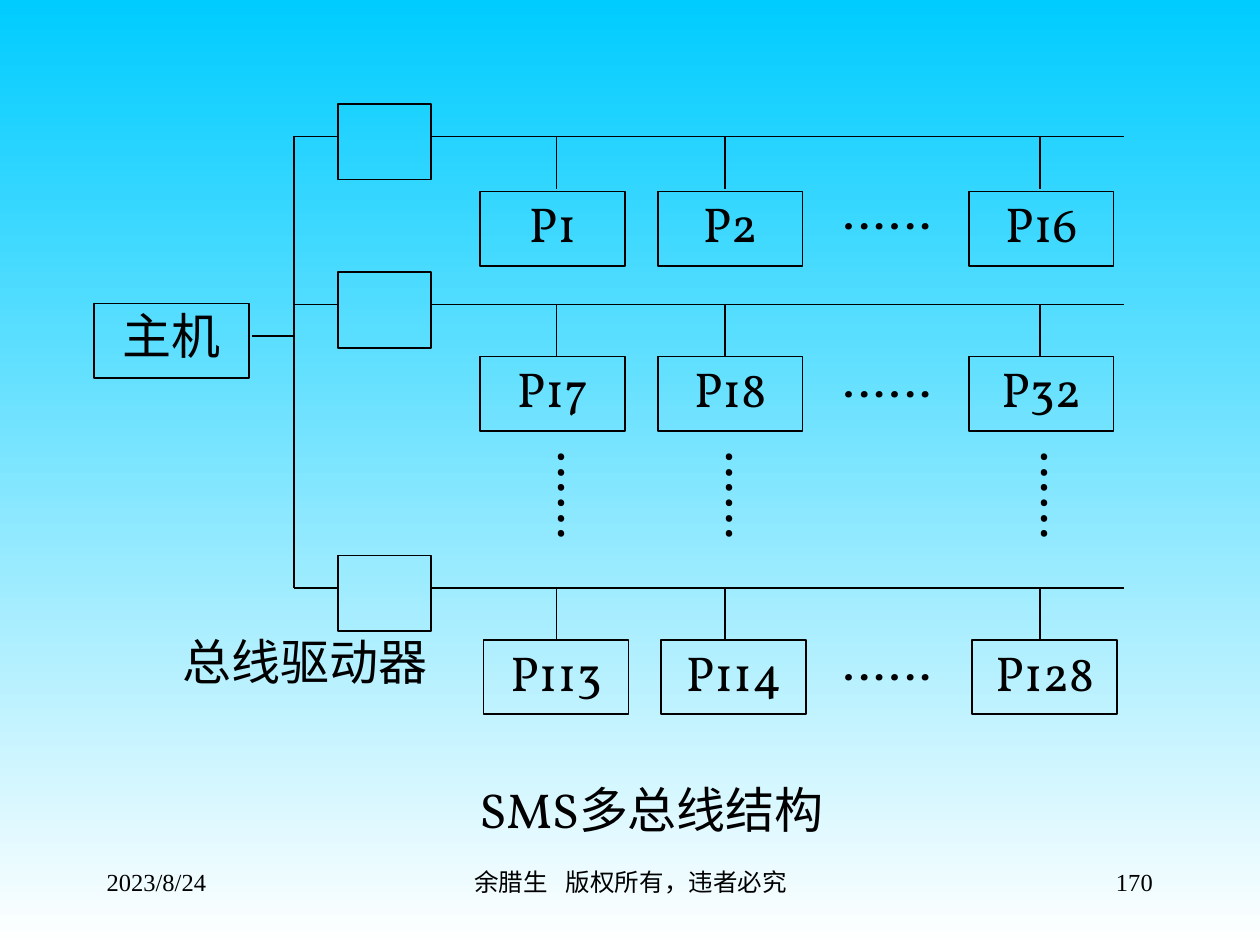
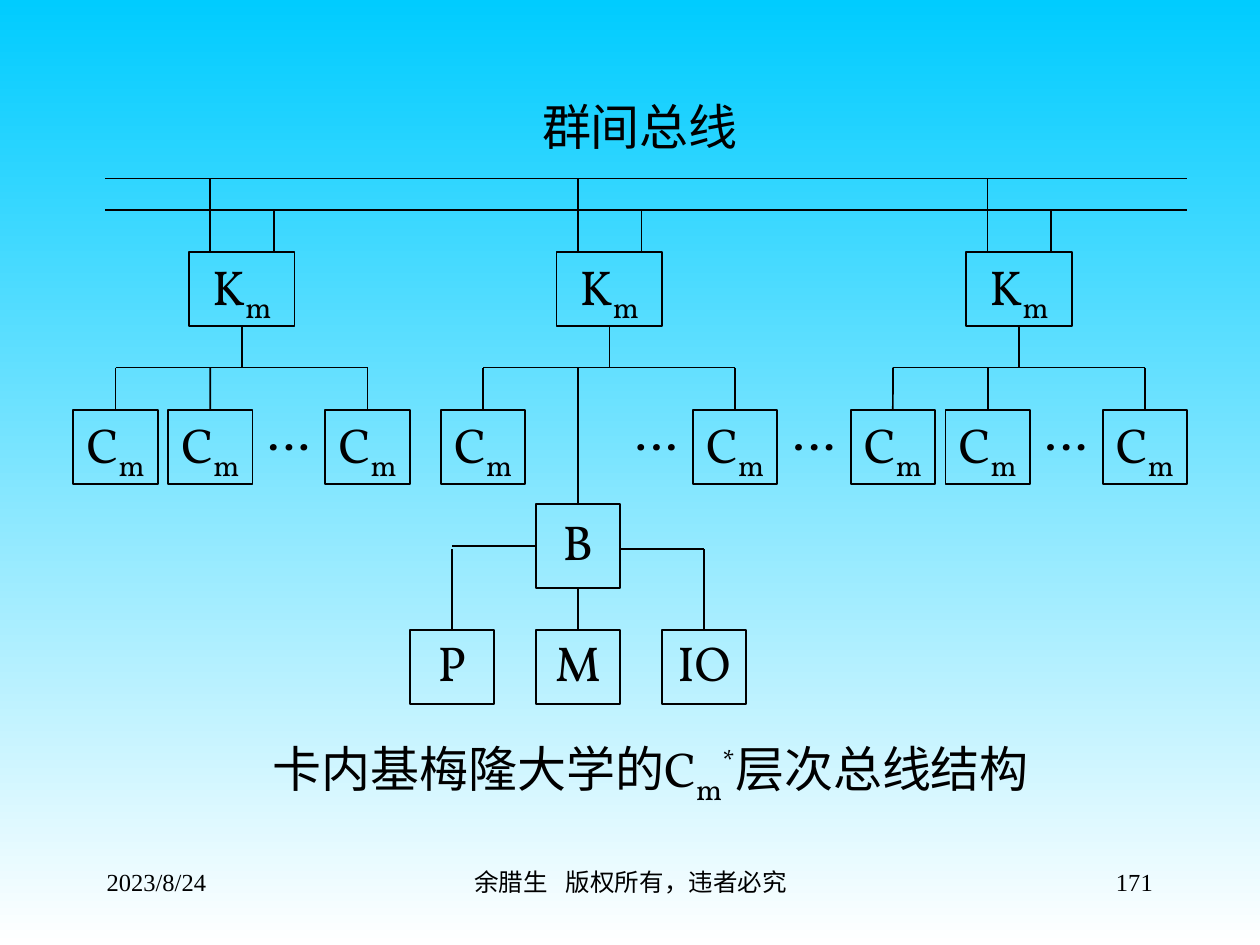
from dataclasses import dataclass
from typing import NamedTuple

from lxml import etree
from pptx import Presentation
from pptx.dml.color import RGBColor
from pptx.enum.shapes import MSO_CONNECTOR, MSO_SHAPE
from pptx.enum.text import MSO_ANCHOR, PP_ALIGN
from pptx.oxml.ns import qn
from pptx.util import Cm, Pt

STRAIGHT = MSO_CONNECTOR.STRAIGHT
RECTANGLE = MSO_SHAPE.RECTANGLE
MIDDLE = MSO_ANCHOR.MIDDLE
LEFT, CENTER, RIGHT = PP_ALIGN.LEFT, PP_ALIGN.CENTER, PP_ALIGN.RIGHT
TOP_SIDE, LEFT_SIDE, BOTTOM_SIDE = 0, 1, 2
BLANK_LAYOUT = 6


@dataclass(frozen=True)
class Theme:
    ink: RGBColor = RGBColor(0x00, 0x00, 0x00)
    sky: RGBColor = RGBColor(0x00, 0xCC, 0xFF)
    horizon: RGBColor = RGBColor(0xFF, 0xFF, 0xFF)
    label_font: str = "Vollkorn"
    footer_font: str = "Times New Roman"
    label_size: int = 28
    script_size: int = 29
    footer_size: int = 14
    line_width: int = 1
    line_spacing: float = 0.8
    inset: float = 0.1
    label_height: float = 1.48
    box_height: float = 1.5


class Span(NamedTuple):
    text: str
    size: int
    baseline: int = 0
    tracking: int = 0


THEME = Theme()


def label(text):
    return Span(text, THEME.label_size)


def subscript(text):
    return Span(text, THEME.script_size, baseline=-25000)


def superscript(text):
    return Span(text, THEME.script_size, baseline=30000)


def write(para, spans, font_name):
    for item in spans:
        span = para.add_run()
        span.text = item.text
        span.font.size = Pt(item.size)
        span.font.name = font_name
        span.font.color.rgb = THEME.ink
        properties = span._r.get_or_add_rPr()
        if item.baseline:
            properties.set("baseline", str(item.baseline))
        if item.tracking:
            properties.set("spc", str(item.tracking))


def write_label(box, spans):
    frame = box.text_frame
    frame.word_wrap = False
    frame.vertical_anchor = MIDDLE
    frame.margin_left = frame.margin_right = Cm(THEME.inset)
    frame.margin_top = frame.margin_bottom = 0
    para = frame.paragraphs[0]
    para.alignment = CENTER
    para.line_spacing = THEME.line_spacing
    write(para, spans, THEME.label_font)


def add_box(page, left, top, width, spans=(), height=THEME.box_height):
    box = page.shapes.add_shape(RECTANGLE, Cm(left), Cm(top), Cm(width), Cm(height))
    box.shadow.inherit = False
    box.fill.background()
    box.line.color.rgb = THEME.ink
    box.line.width = Pt(THEME.line_width)
    if spans:
        write_label(box, spans)
    return box


def add_label(page, left, top, width, *spans):
    box = page.shapes.add_textbox(Cm(left), Cm(top), Cm(width), Cm(THEME.label_height))
    write_label(box, spans)


def add_vertical_dots(page, left, top):
    box = page.shapes.add_textbox(Cm(left), Cm(top), Cm(THEME.label_height), Cm(2.12))
    write_label(box, [label("……")])
    box.text_frame._txBody.bodyPr.set("vert", "eaVert")


def add_line(page, x1, y1, x2, y2, begin=None, end=None):
    line = page.shapes.add_connector(STRAIGHT, Cm(x1), Cm(y1), Cm(x2), Cm(y2))
    line.line.color.rgb = THEME.ink
    line.line.width = Pt(THEME.line_width)
    if begin:
        line.begin_connect(*begin)
    if end:
        line.end_connect(*end)
    etree.SubElement(line._element.spPr, qn("a:effectLst"))


def add_footer(page, left, width, alignment, *spans):
    box = page.shapes.add_textbox(Cm(left), Cm(17.35), Cm(width), Cm(1.27))
    box.text_frame.word_wrap = True
    para = box.text_frame.paragraphs[0]
    para.alignment = alignment
    write(para, spans, THEME.footer_font)


def add_page(deck, number):
    page = deck.slides.add_slide(deck.slide_layouts[BLANK_LAYOUT])
    fill = page.background.fill
    fill.gradient()
    fill.gradient_angle = 270
    for stop, color in zip(fill.gradient_stops, (THEME.sky, THEME.horizon)):
        stop.color.rgb = color
    size = THEME.footer_size
    add_footer(page, 1.9, 5.28, LEFT, Span("2023/8/24", size))
    add_footer(page, 8.69, 8.05, CENTER, Span("余腊生", size),
               Span(" ", size, tracking=700), Span("版权所有，违者必究", size))
    add_footer(page, 18.21, 5.28, RIGHT, Span(str(number), size))
    return page


def add_bus_row(page, bus, box_top, shift, names, taps, trunk):
    driver_left, driver_width = 6.81, 1.88
    add_line(page, trunk, bus, driver_left, bus)
    add_box(page, driver_left, bus - 0.65, driver_width, height=1.52)
    add_line(page, driver_left + driver_width, bus, 22.65, bus)
    for name, tap, left in zip(names, taps, (9.68, 13.26, 19.53)):
        add_line(page, tap, bus, tap, bus + 1.06)
        add_box(page, left + shift, box_top, 2.92, [label(name)])
    add_label(page, 16.51, bus + 0.85, 2.74, label("……"))


def build_multibus(deck):
    page = add_page(deck, 170)
    trunk = 5.93
    taps = (11.22, 14.61, 20.96)
    rows = (
        (2.75, 3.86, 0, ("P1", "P2", "P16")),
        (6.14, 7.19, 0, ("P17", "P18", "P32")),
        (11.85, 12.9, 0.07, ("P113", "P114", "P128")),
    )
    add_box(page, 1.9, 6.12, 3.12, [label("主机")])
    add_line(page, 5.08, 6.78, trunk, 6.78)
    add_line(page, trunk, rows[0][0], trunk, rows[-1][0])
    for row in rows:
        add_bus_row(page, *row, taps, trunk)
    for tap in taps:
        add_vertical_dots(page, tap - 0.42, 9.1)
    add_label(page, 3.18, 12.7, 5.93, label("总线驱动器"))
    add_label(page, 4.88, 15.67, 16.51, label("SMS多总线结构"))


UNIT_WIDTH = 1.7
UNIT_CENTER = UNIT_WIDTH / 2
UNIT_TOP = 8.26
RAIL = 7.41
CLUSTER_BUSES = (3.6, 4.24)


def add_dots(page, left):
    add_label(page, left, 8.05, 1.06, label("…"))


def add_drop(page, center, start, box):
    add_line(page, center, start, center, start, end=(box, TOP_SIDE))


def add_cluster(page, left, unit_offsets):
    switch_left, switch_top, switch_width = left + 2.33, 5.08, 2.13
    switch_center = switch_left + switch_width / 2
    switch = add_box(page, switch_left, switch_top, switch_width, [label("K"), subscript("m")])
    for bus, offset in zip(CLUSTER_BUSES, (2.76, 4.04)):
        add_line(page, left + offset, bus, left + offset, switch_top)
    add_line(page, switch_center, RAIL, switch_center, RAIL, begin=(switch, BOTTOM_SIDE))
    first, last = left + UNIT_CENTER, left + unit_offsets[-1] + UNIT_CENTER
    add_line(page, first, RAIL, last, RAIL)
    for offset in unit_offsets:
        unit = add_box(page, left + offset, UNIT_TOP, UNIT_WIDTH, [label("C"), subscript("m")])
        add_drop(page, left + offset + UNIT_CENTER, RAIL, unit)
    add_dots(page, left + 3.81)


def add_node(page):
    left, top, pitch = 10.8, 10.16, 2.54
    center, middle = left + UNIT_CENTER, top + UNIT_CENTER
    branch = middle + 0.06
    node = add_box(page, left, top, UNIT_WIDTH, [label("B")], height=UNIT_WIDTH)
    add_drop(page, center, RAIL, node)
    processor, memory, device = [
        add_box(page, left + step * pitch, 12.7, UNIT_WIDTH, [label(name)])
        for step, name in zip((-1, 0, 1), ("P", "M", "IO"))
    ]
    add_line(page, center - pitch, middle, left, middle, end=(node, LEFT_SIDE))
    add_drop(page, center - pitch, branch, processor)
    add_line(page, center, top, center, top,
             begin=(node, BOTTOM_SIDE), end=(memory, TOP_SIDE))
    add_line(page, left + UNIT_WIDTH, branch, center + pitch, branch)
    add_drop(page, center + pitch, branch, device)


def build_hierarchy(deck):
    page = add_page(deck, 171)
    add_label(page, 10.36, 1.9, 5.08, label("群间总线"))
    for bus in CLUSTER_BUSES:
        add_line(page, 2.12, bus, 23.92, bus)
    add_cluster(page, 1.48, (0, 1.91, 5.08))
    add_cluster(page, 8.89, (0, 5.08))
    add_cluster(page, 17.15, (0, 1.91, 5.08))
    add_dots(page, 15.88)
    add_node(page)
    add_label(page, 3.81, 14.81, 18.62, label("卡内基梅隆大学的C"),
              subscript("m"), superscript("*"), label("层次总线结构"))


def main():
    deck = Presentation()
    deck.slide_width, deck.slide_height = Cm(25.4), Cm(19.05)
    build_multibus(deck)
    build_hierarchy(deck)
    deck.save("out.pptx")


if __name__ == "__main__":
    main()
